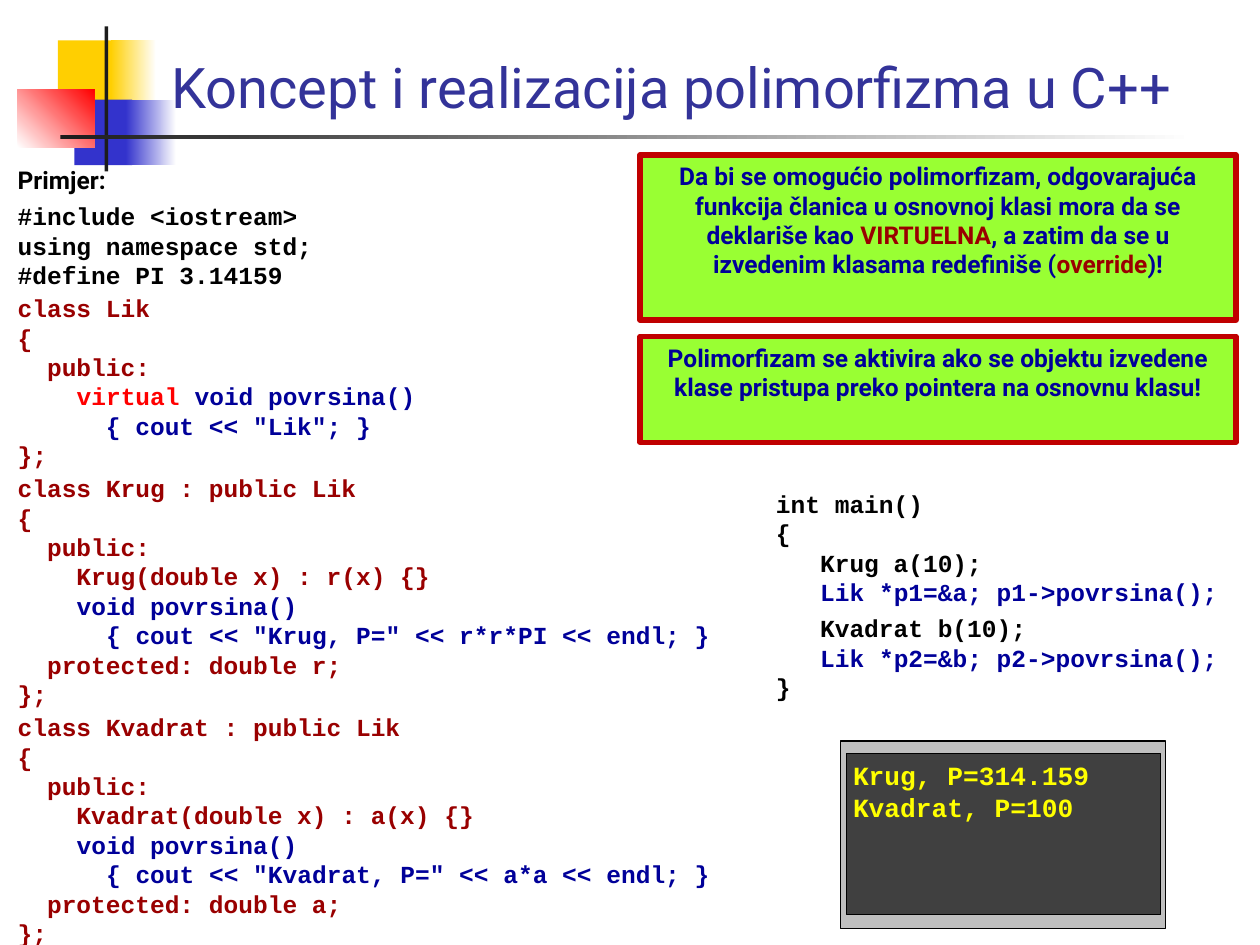
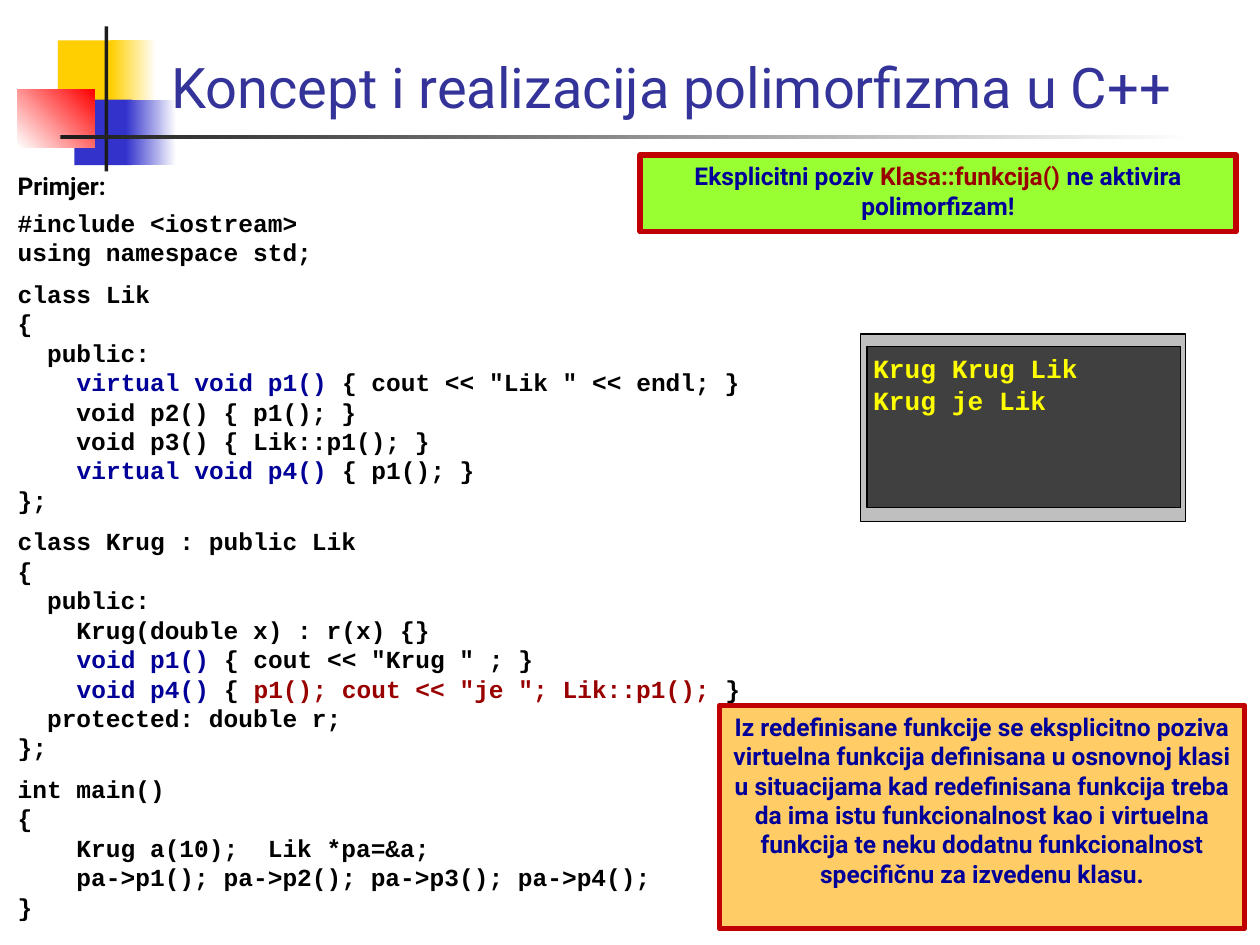
from lxml.etree import SubElement
from pptx import Presentation
from pptx.dml.color import RGBColor
from pptx.enum.shapes import MSO_SHAPE
from pptx.enum.text import MSO_ANCHOR, MSO_AUTO_SIZE, PP_ALIGN
from pptx.oxml.ns import qn
from pptx.util import Inches, Pt

# Shared look: a grid of 100 columns by 75 rows
CELL = Inches(0.1)
SANS, MONO = "Roboto", "Courier New"
BLACK, DARK, WHITE = "000000", "1C1C1C", "FFFFFF"
GOLD, BLUE, RED = "FFCF01", "3333CC", "FF0000"
NAVY, WINE, YELLOW = "000099", "990000", "FFFF00"
LIME, PEACH, FRAME = "99FF33", "FFCC66", "C00000"
TITLE = "Koncept i realizacija polimorfizma u C++"
# "§" and a letter switch the ink from there on
INKS = {"k": BLACK, "b": NAVY, "w": WINE, "r": RED, "y": YELLOW, "t": "333399"}


def box(slide, grid, fill=None, line=None, width=0, fade=None, angle=0):
    """Add a rectangle at grid cells, plain or fading to a second colour."""
    shape = slide.shapes.add_shape(MSO_SHAPE.RECTANGLE, *[int(n * CELL) for n in grid])
    shape.shadow.inherit = False
    if fade:
        shape.fill.gradient()
        shape.fill.gradient_angle = angle
        for stop, tone in zip(shape.fill.gradient_stops, (fill, fade)):
            stop.color.rgb = RGBColor.from_string(tone)
    elif fill:
        shape.fill.solid()
        shape.fill.fore_color.rgb = RGBColor.from_string(fill)
    else:
        shape.fill.background()
    if line:
        shape.line.color.rgb = RGBColor.from_string(line)
        shape.line.width = Pt(width)
    else:
        shape.line.fill.background()
    return shape


def write(shape, blocks, size=14, bold=True, align=PP_ALIGN.LEFT,
          anchor=MSO_ANCHOR.TOP, hang=0):
    """Fill a shape with blocks of (space before, font, lines)."""
    frame = shape.text_frame
    frame.word_wrap = True
    frame.auto_size = MSO_AUTO_SIZE.NONE
    frame.vertical_anchor = anchor
    ink, para = BLACK, None
    for gap, font, text in blocks:
        for row, line in enumerate(text.strip("\n").split("\n")):
            para = frame.add_paragraph() if para else frame.paragraphs[0]
            para.alignment = align
            para.space_before = Pt(0 if row else gap)
            props = para._p.get_or_add_pPr()
            props.set("marL", str(Inches(hang)))
            props.set("indent", str(-Inches(hang)))
            SubElement(props, qn("a:buNone"))
            para.font.name, para.font.size, para.font.bold = font, Pt(size), bold
            for part, piece in enumerate(line.split("§")):
                if part:
                    ink, piece = INKS[piece[0]], piece[1:]
                if piece:
                    run = para.add_run()
                    run.text = piece
                    run.font.color.rgb = RGBColor.from_string(ink)


# Code on the first slide
SHAPES = [
    (0, SANS, "Primjer:"),
    (4, MONO, """
#include <iostream>
using namespace std;
#define PI 3.14159"""),
    (2, MONO, """
§wclass Lik
{
  public:
    §rvirtual §bvoid povrsina()
      { cout << "Lik"; }
§w};"""),
    (2, MONO, """
class Krug : public Lik
{
  public:
    Krug(double x) : r(x) {}
    §bvoid povrsina()
§w      §b{ cout << "Krug, P=" << r*r*PI << endl; }
§w  protected: double r;
};"""),
    (2, MONO, """
class Kvadrat : public Lik
{
  public:
    Kvadrat(double x) : a(x) {}
    §bvoid povrsina()
§w      §b{ cout << "Kvadrat, P=" << a*a << endl; }
§w  protected: double a;
};"""),
]
MAIN = [
    (0, MONO, """
int main()
{
   Krug a(10);
   §bLik *p1=&a; p1->povrsina();"""),
    (4, MONO, """
§k   Kvadrat b(10);
   §bLik *p2=&b; p2->povrsina();
§k}"""),
]

# Code on the second slide
CALLS = [
    (0, SANS, "Primjer:"),
    (4, MONO, """
#include <iostream>
using namespace std;"""),
    (7, MONO, """
class Lik
{
  public:
    §bvirtual void p1()§k { cout << "Lik " << endl; }
    void p2() { p1(); }
    void p3() { Lik::p1(); }
    §bvirtual void p4()§k { p1(); }
};"""),
    (7, MONO, """
class Krug : public Lik
{
  public:
    Krug(double x) : r(x) {}
    §bvoid p1()§k { cout << "Krug " ; }
    §bvoid p4()§k { §wp1(); cout << "je "; Lik::p1();§k }
  protected: double r;
};"""),
    (7, MONO, """
int main()
{
    Krug a(10);  Lik *pa=&a;
    pa->p1(); pa->p2(); pa->p3(); pa->p4();
}"""),
]

# Per slide: code top, code, console corner, console output, notes
PAGES = [
    (12.6, SHAPES, (66.7, 58.8), "Krug, P=314.159\nKvadrat, P=100", [
        ((50.8, 12.3, 47.3, 13.1), LIME,
         "Da bi se omogućio polimorfizam, odgovarajuća funkcija članica u osnovnoj "
         "klasi mora da se deklariše kao §wVIRTUELNA§b, a zatim da se u izvedenim "
         "klasama redefiniše (§woverride§b)!"),
        ((50.8, 26.7, 47.3, 8.4), LIME,
         "Polimorfizam se aktivira ako se objektu izvedene klase pristupa preko "
         "pointera na osnovnu klasu!"),
    ]),
    (13.1, CALLS, (68.3, 26.5), "Krug Krug Lik\nKrug je Lik", [
        ((50.8, 12.3, 47.3, 6.1), LIME,
         "Eksplicitni poziv §wKlasa::funkcija() §bne aktivira polimorfizam!"),
        ((57.1, 56, 41.7, 17.7), PEACH,
         "Iz redefinisane funkcije se eksplicitno poziva virtuelna funkcija "
         "definisana u osnovnoj klasi u situacijama kad redefinisana funkcija treba "
         "da ima istu funkcionalnost kao i virtuelna funkcija te neku dodatnu "
         "funkcionalnost specifičnu za izvedenu klasu."),
    ]),
]

deck = Presentation()
deck.slide_width, deck.slide_height = 100 * CELL, 75 * CELL
layout = deck.slide_layouts[1]
slides = [deck.slides.add_slide(layout) for page in PAGES]

# Corner squares and rules, moved from the first slide to the layout
for grid, fill, fade, angle in [
    ((4.6, 3.2, 4.8, 5.2), GOLD, None, 0),
    ((8.8, 3.2, 3.6, 5.2), GOLD, WHITE, 0),
    ((5.9, 7.9, 4.6, 5.2), BLUE, None, 0),
    ((10, 7.9, 4, 5.2), BLUE, WHITE, 0),
    ((1.4, 7.1, 6.1, 4.6), WHITE, RED, 45),
    ((8.3, 2.1, 0.3, 11.5), DARK, None, 0),
    ((4.8, 10.7, 90, 0.3), DARK, WHITE, 0),
]:
    layout.shapes.element.append(
        box(slides[0], grid, fill, fade=fade, angle=angle).element)

for slide, (top, code, (x, y), output, notes) in zip(slides, PAGES):
    # Title and code list
    title, body = slide.placeholders
    for holder, grid in ((title, (12.6, 1.3, 87.4, 8.7)), (body, (0.4, top, 59.9, 58))):
        holder.left, holder.top, holder.width, holder.height = [
            int(n * CELL) for n in grid]
    write(title, [(0, SANS, "§t" + TITLE)], 32, False, anchor=MSO_ANCHOR.BOTTOM)
    write(body, code, hang=0.38)

    # Main program beside the classes
    if code is SHAPES:
        main = slide.shapes.add_textbox(*[int(n * CELL) for n in (60.6, 38.3, 38.2, 18.1)])
        write(main, MAIN, hang=0.38)

    # Console window
    box(slide, (x, y, 25.8, 14.9), "BFBFBF", BLACK)
    box(slide, (x + 0.5, y + 1, 24.9, 12.8), "404040", BLACK)
    screen = box(slide, (x + 1, y + 1, 21.9, 6))
    screen.text_frame.margin_left = screen.text_frame.margin_right = 0
    write(screen, [(0, MONO, "§y" + output)], 15)

    # Framed notes
    for grid, fill, text in notes:
        note = box(slide, grid, fill, FRAME, 3)
        write(note, [(0, SANS, "§b" + text)], align=PP_ALIGN.CENTER)

deck.save("out.pptx")
